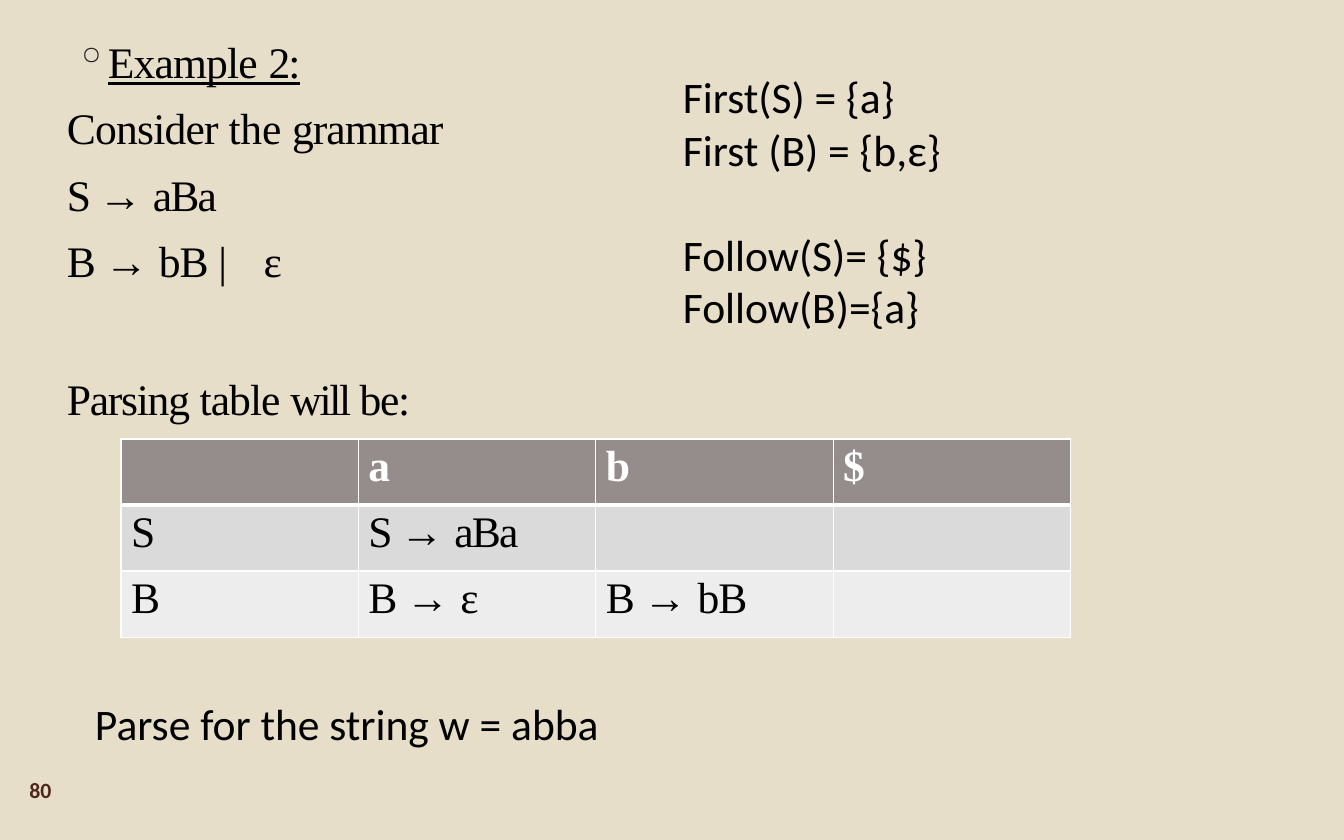
from dataclasses import dataclass

from lxml.etree import SubElement as Sub
from pptx import Presentation
from pptx.dml.color import RGBColor as Rgb
from pptx.enum.text import MSO_ANCHOR as Anchor, MSO_AUTO_SIZE as Auto, PP_ALIGN as Align
from pptx.oxml.ns import qn
from pptx.util import Inches, Pt


@dataclass(frozen=True)
class Theme:
    back: str = "E7DEC9"
    ink: str = "000000"
    mark: str = "262626"
    page: str = "4F271C"
    white: str = "FFFFFF"
    rows: tuple = ("958C8C", "DBDADA", "EDEDED")
    serif: str = "Times New Roman"
    sans: str = "Calibri"
    body: float = 28
    small: float = 14
    thin: float = 1
    thick: float = 3


T = Theme()
WIDE, HIGH = 12, 7.5

# Runs are pairs of text and letter spacing in points.
ARROW = ("→ ", 0)
S_RULE = [("S ", -2.2), ARROW, ("aBa", -1.2)]
B_HEAD = [("B ", -1.5), ARROW]
B_LOOP = B_HEAD + [("bB", -0.7)]
B_NULL = B_HEAD + [("ε", -1.3)]
B_RULE = B_HEAD + [("bB ", -0.7), ("| ", 8.3), ("ε", -1.3)]

GRAMMAR = [
    ([("Example", -0.5), (" ", -0.1), ("2:", -1.4)], dict(line=True, bullet="◦")),
    ([("Consider ", -0.5), ("the ", -0.1), ("grammar", -0.6)], dict(pitch=1.27)),
    (S_RULE, dict(pitch=1.27)),
    (B_RULE, dict(gap=9)),
    ([("Parsing ", -0.8), ("table ", -0.6), ("will ", -1.5), ("be:", -0.8)], dict(gap=55)),
]
SETS = [
    ("First(S) = {a}", {}),
    ("First (B) = {b,ε}", {}),
    ("Follow(S)= {$}", dict(gap=34)),
    ("Follow(B)={a}", {}),
]
CELLS = [
    ["", "a", "b", "$"],
    ["S", S_RULE, "", ""],
    ["B", B_NULL, B_LOOP, ""],
]


def mark(para, char):
    """Hang a bullet and a tab stop on the paragraph."""
    props = para._p.get_or_add_pPr()
    props.set("marL", str(Inches(0.21)))
    props.set("indent", str(Inches(-0.14)))
    Sub(Sub(props, qn("a:buClr")), qn("a:srgbClr"), val=T.mark)
    Sub(props, qn("a:buSzPct"), val="96000")
    Sub(props, qn("a:buChar"), char=char)
    Sub(Sub(props, qn("a:tabLst")), qn("a:tab"), pos=str(Inches(0.21)), algn="l")


def write(para, runs, font=T.sans, size=T.body, color=T.ink, bold=False,
          line=False, bullet=None, gap=0, pitch=None, align=None):
    if bullet:
        mark(para, bullet)
    para.alignment = align
    para.line_spacing = pitch
    if gap:
        para.space_before = Pt(gap)
    for text, space in [(runs, 0)] if isinstance(runs, str) else runs:
        run = para.add_run()
        run.text = text
        face = run.font
        face.name, face.size, face.bold, face.underline = font, Pt(size), bold, line
        face.color.rgb = Rgb.from_string(color)
        if space:
            face._element.set("spc", str(round(space * 100)))


def add_box(slide, area, lines, inset=None, anchor=Anchor.TOP, fit=Auto.SHAPE_TO_FIT_TEXT, **form):
    """Place lines of text; area is left, top, width, height as shares of the slide."""
    x, y, w, h = area
    box = slide.shapes.add_textbox(Inches(x * WIDE), Inches(y * HIGH),
                                   Inches(w * WIDE), Inches(h * HIGH))
    frame = box.text_frame
    frame.word_wrap, frame.auto_size, frame.vertical_anchor = True, fit, anchor
    if inset:
        (frame.margin_left, frame.margin_top,
         frame.margin_right, frame.margin_bottom) = map(Inches, inset)
    for i, (runs, extra) in enumerate(lines):
        para = frame.add_paragraph() if i else frame.paragraphs[0]
        write(para, runs, **{**form, **extra})


def edge(cell, sides):
    props = cell._tc.get_or_add_tcPr()
    for side, width in sides.items():
        rim = Sub(props, qn(f"a:ln{side}"), w=str(Pt(width)))
        Sub(Sub(rim, qn("a:solidFill")), qn("a:srgbClr"), val=T.white)


def add_grid(slide, x, y, col, row):
    """Draw the parsing table with equal columns and rows."""
    rows, cols = len(CELLS), len(CELLS[0])
    grid = slide.shapes.add_table(rows, cols, Inches(x), Inches(y),
                                  Inches(col * cols), Inches(row * rows)).table
    for column in grid.columns:
        column.width = Inches(col)
    for r, words in enumerate(CELLS):
        head = r == 0
        grid.rows[r].height = Inches(row)
        for c, runs in enumerate(words):
            cell = grid.cell(r, c)
            cell.margin_left, cell.margin_top = Inches(0.09), Inches(0.03)
            cell.margin_right = cell.margin_bottom = 0
            edge(cell, {"L": T.thin, "R": T.thin,
                        "T": T.thick if r == 1 else T.thin,
                        "B": T.thick if head else T.thin})
            cell.fill.solid()
            cell.fill.fore_color.rgb = Rgb.from_string(T.rows[r])
            if runs:
                write(cell.text_frame.paragraphs[0], runs, font=T.serif,
                      color=T.white if head else T.ink, bold=head)


def main():
    deck = Presentation()
    deck.slide_width, deck.slide_height = Inches(WIDE), Inches(HIGH)
    slide = deck.slides.add_slide(deck.slide_layouts[6])
    fill = slide.background.fill
    fill.solid()
    fill.fore_color.rgb = Rgb.from_string(T.back)

    add_box(slide, (0, 0.91, 0.06, 0.06), [("80", {})], anchor=Anchor.MIDDLE,
            fit=Auto.NONE, size=T.small, color=T.page, bold=True, align=Align.CENTER)
    add_grid(slide, x=1.08, y=3.92, col=2.12, row=0.59)
    add_box(slide, (1 / 16, 0.823, 0.53, 0.076), [("Parse for the string w = abba", {})])
    add_box(slide, (0.5, 0.077, 0.4, 0.33), SETS)
    add_box(slide, (0.049, 0.023, 0.344, 0.484), GRAMMAR,
            inset=(0.01, 0.14, 0, 0), font=T.serif)
    deck.save("out.pptx")


if __name__ == "__main__":
    main()
